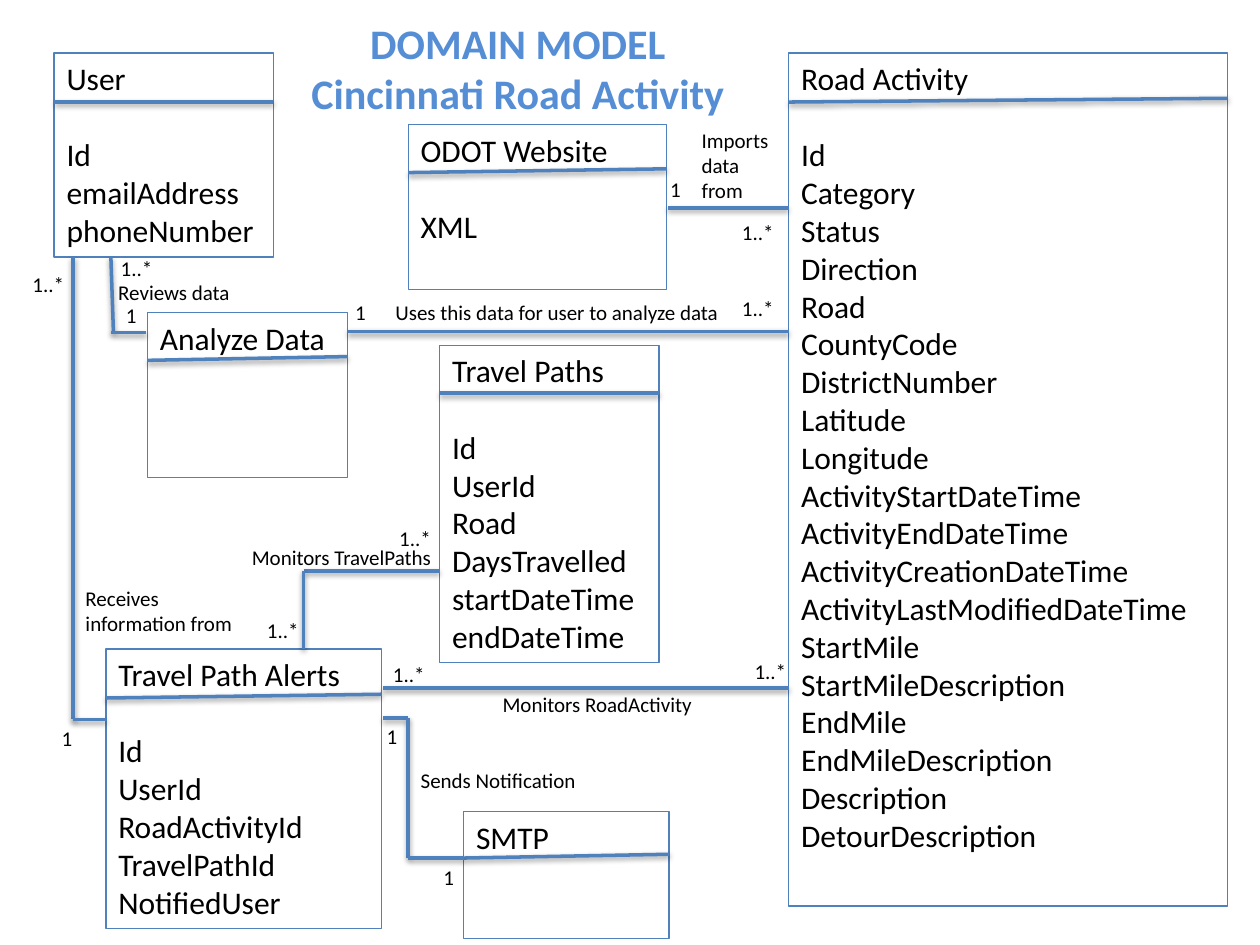
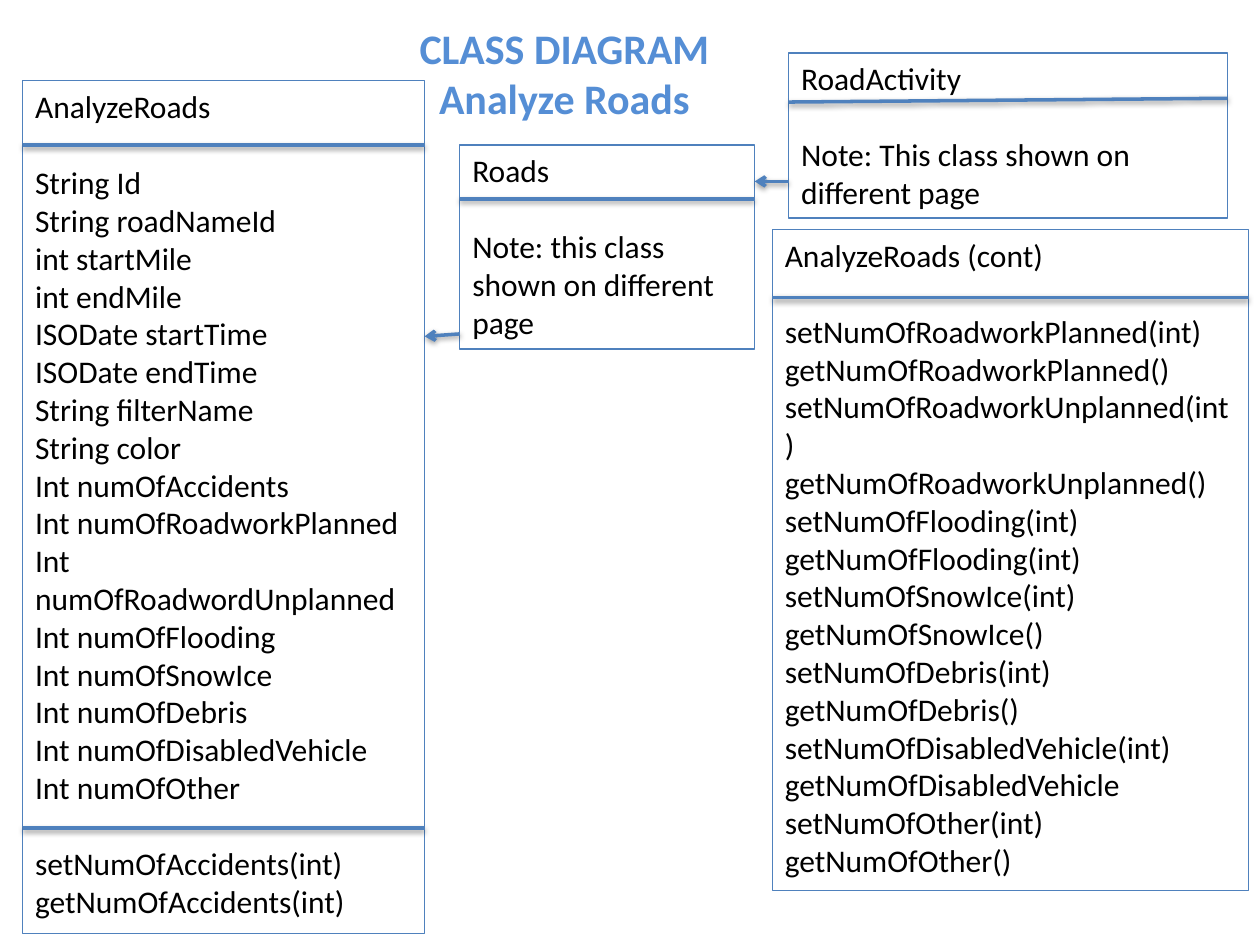
from dataclasses import dataclass
from itertools import pairwise

import pptx
import pptx.dml.color
import pptx.enum.shapes
import pptx.enum.text
import pptx.oxml
import pptx.oxml.ns
import pptx.util
from pptx.util import Inches

FONT = "Calibri"
LINE_BLUE = "4F81BD"
TITLE_BLUE = "558ED5"
BLACK = "000000"
SECTION_GAP = 22  # points: one line of class text

SHADOW_XML = (
    f'<a:effectLst {pptx.oxml.ns.nsdecls("a")}>'
    '<a:outerShdw blurRad="39370" dist="20320" dir="5400000" rotWithShape="0">'
    f'<a:srgbClr val="{BLACK}"><a:alpha val="38000"/></a:srgbClr>'
    "</a:outerShdw></a:effectLst>"
)
ARROW_XML = f'<a:tailEnd {pptx.oxml.ns.nsdecls("a")} type="arrow"/>'

Point = tuple[float, float]


@dataclass(frozen=True)
class Divider:
    """A rule across a class box; drop is below the box top, rise lifts the right end."""
    drop: float
    rise: float = 0.0


@dataclass(frozen=True)
class ClassBox:
    left: float
    top: float
    width: float
    height: float
    name: str
    sections: tuple[str, ...] = ()
    dividers: tuple[Divider, ...] = ()


@dataclass(frozen=True)
class Route:
    points: tuple[Point, ...]
    arrow: bool = False


@dataclass(frozen=True)
class Label:
    left: float
    top: float
    text: str
    width: float = 0.47
    height: float = 0.3


@dataclass(frozen=True)
class Diagram:
    title: str
    title_at: Point
    boxes: tuple[ClassBox, ...]
    routes: tuple[Route, ...]
    labels: tuple[Label, ...] = ()


DOMAIN_MODEL = Diagram(
    title="DOMAIN MODEL\nCincinnati Road Activity",
    title_at=(2.33, 0.09),
    boxes=(
        ClassBox(0.43, 0.42, 1.74, 1.62, "User",
                 ("Id\nemailAddress\nphoneNumber",), (Divider(0.39),)),
        ClassBox(3.24, 0.99, 2.05, 1.31, "ODOT Website", ("XML",), (Divider(0.38, 0.03),)),
        ClassBox(1.17, 2.48, 1.59, 1.31, "Analyze Data", (), (Divider(0.38, 0.03),)),
        ClassBox(6.26, 0.42, 3.48, 6.77, "Road Activity",
                 ("Id\nCategory\nStatus\nDirection\nRoad\nCountyCode\nDistrictNumber\n"
                  "Latitude\nLongitude\nActivityStartDateTime\nActivityEndDateTime\n"
                  "ActivityCreationDateTime\nActivityLastModifiedDateTime\nStartMile\n"
                  "StartMileDescription\nEndMile\nEndMileDescription\nDescription\n"
                  "DetourDescription",),
                 (Divider(0.39, 0.03),)),
        ClassBox(0.84, 5.15, 2.19, 2.22, "Travel Path Alerts",
                 ("Id\nUserId\nRoadActivityId\nTravelPathId\nNotifiedUser",),
                 (Divider(0.39, 0.03),)),
        ClassBox(3.68, 6.44, 1.63, 1.01, "SMTP", (), (Divider(0.37, 0.03),)),
        ClassBox(3.49, 2.74, 1.74, 2.52, "Travel Paths",
                 ("Id\nUserId\nRoad\nDaysTravelled\nstartDateTime\nendDateTime",),
                 (Divider(0.38),)),
    ),
    routes=(
        Route(((0.88, 2.04), (0.9, 2.63))),
        Route(((1.16, 2.64), (0.88, 2.64))),
        Route(((0.58, 2.04), (0.58, 5.71), (0.84, 5.71))),
        Route(((3.04, 5.7), (3.24, 5.7), (3.24, 6.81), (3.68, 6.81))),
        Route(((6.26, 1.65), (5.3, 1.65))),
        Route(((6.26, 2.63), (2.76, 2.63))),
        Route(((6.26, 5.46), (3.04, 5.46))),
        Route(((3.49, 4.53), (2.41, 4.53), (2.41, 5.15))),
    ),
    labels=(
        Label(0.86, 1.98, "1..*"),
        Label(0.9, 2.35, "1"),
        Label(0.84, 2.17, "Reviews data", 1.83),
        Label(5.22, 1.35, "1"),
        Label(5.79, 1.69, "1..*"),
        Label(5.47, 0.96, "Imports data from", 0.79, 0.71),
        Label(2.72, 2.33, "1"),
        Label(5.79, 2.3, "1..*"),
        Label(3.04, 2.33, "Uses this data for user to analyze data", 3.23),
        Label(0.16, 2.11, "1..*"),
        Label(0.39, 5.71, "1"),
        Label(0.58, 4.6, "Receives information from", 1.48, 0.5),
        Label(2.02, 4.85, "1..*"),
        Label(3.07, 4.12, "1..*"),
        Label(1.9, 4.27, "Monitors TravelPaths", 1.71),
        Label(3.02, 5.2, "1..*"),
        Label(5.89, 5.18, "1..*"),
        Label(3.89, 5.44, "Monitors RoadActivity", 1.71),
        Label(2.97, 5.69, "1"),
        Label(3.42, 6.81, "1"),
        Label(3.24, 6.04, "Sends Notification", 1.48),
    ),
)

CLASS_DIAGRAM = Diagram(
    title="CLASS DIAGRAM\nAnalyze Roads",
    title_at=(2.7, 0.13),
    boxes=(
        ClassBox(6.26, 0.42, 3.48, 1.31, "RoadActivity",
                 ("Note: This class shown on different page",), (Divider(0.39, 0.03),)),
        ClassBox(0.18, 0.64, 3.19, 6.77, "AnalyzeRoads",
                 ("String Id\nString roadNameId\nint startMile\nint endMile\n"
                  "ISODate startTime\nISODate endTime\nString filterName\nString color\n"
                  "Int numOfAccidents\nInt numOfRoadworkPlanned\n"
                  "Int numOfRoadwordUnplanned\nInt numOfFlooding\nInt numOfSnowIce\n"
                  "Int numOfDebris\nInt numOfDisabledVehicle\nInt numOfOther",
                  "setNumOfAccidents(int)\ngetNumOfAccidents(int)"),
                 (Divider(0.51), Divider(5.93))),
        ClassBox(3.65, 1.15, 2.34, 1.62, "Roads",
                 ("Note: this class shown on different page",), (Divider(0.43),)),
        ClassBox(6.13, 1.82, 3.78, 5.25, "AnalyzeRoads (cont)",
                 ("setNumOfRoadworkPlanned(int)\ngetNumOfRoadworkPlanned()\n"
                  "setNumOfRoadworkUnplanned(int)\ngetNumOfRoadworkUnplanned()\n"
                  "setNumOfFlooding(int)\ngetNumOfFlooding(int)\nsetNumOfSnowIce(int)\n"
                  "getNumOfSnowIce()\nsetNumOfDebris(int)\ngetNumOfDebris()\n"
                  "setNumOfDisabledVehicle(int)\ngetNumOfDisabledVehicle\n"
                  "setNumOfOther(int)\ngetNumOfOther()",),
                 (Divider(0.54),)),
    ),
    routes=(
        Route(((6.26, 1.44), (5.99, 1.44)), arrow=True),
        Route(((3.65, 2.65), (3.37, 2.67)), arrow=True),
    ),
)


def rgb(color: str) -> pptx.dml.color.RGBColor:
    return pptx.dml.color.RGBColor.from_string(color)


def write_text(shape, text: str, size: int, color: str = BLACK, bold: bool = False,
               align=pptx.enum.text.PP_ALIGN.LEFT) -> None:
    frame = shape.text_frame
    frame.word_wrap = True
    frame.vertical_anchor = pptx.enum.text.MSO_ANCHOR.TOP
    frame.text = text
    for para in frame.paragraphs:
        para.alignment = align
        for span in para.runs:
            span.font.name = FONT
            span.font.size = pptx.util.Pt(size)
            span.font.bold = bold
            span.font.color.rgb = rgb(color)


def draw_line(slide, start: Point, end: Point, arrow: bool = False) -> None:
    line = slide.shapes.add_connector(
        pptx.enum.shapes.MSO_CONNECTOR.STRAIGHT, *map(Inches, start + end))
    line.line.color.rgb = rgb(LINE_BLUE)
    line.line.width = pptx.util.Pt(2)
    if arrow:
        line.line._get_or_add_ln().append(pptx.oxml.parse_xml(ARROW_XML))
    line._element.spPr.append(pptx.oxml.parse_xml(SHADOW_XML))


def draw_class_box(slide, box: ClassBox) -> None:
    shape = slide.shapes.add_shape(
        pptx.enum.shapes.MSO_SHAPE.RECTANGLE,
        *map(Inches, (box.left, box.top, box.width, box.height)))
    shape.shadow.inherit = False
    shape.fill.background()
    shape.line.color.rgb = rgb(LINE_BLUE)
    shape.line.width = pptx.util.Pt(0.75)
    write_text(shape, "\n".join((box.name, *box.sections)), 18)

    first_line = 1
    for section in box.sections:
        para = shape.text_frame.paragraphs[first_line]
        para.space_before = pptx.util.Pt(SECTION_GAP)
        first_line += len(section.splitlines())

    for divider in box.dividers:
        y = box.top + divider.drop
        draw_line(slide, (box.left, y), (box.left + box.width, y - divider.rise))


def draw_label(slide, label: Label) -> None:
    box = slide.shapes.add_textbox(
        *map(Inches, (label.left, label.top, label.width, label.height)))
    write_text(box, label.text, 12)


def draw_title(slide, title: str, at: Point) -> None:
    box = slide.shapes.add_textbox(*map(Inches, (*at, 3.56, 0.91)))
    write_text(box, title, 24, TITLE_BLUE, True, pptx.enum.text.PP_ALIGN.CENTER)


def draw_diagram(deck, diagram: Diagram) -> None:
    slide = deck.slides.add_slide(deck.slide_layouts[6])
    draw_title(slide, diagram.title, diagram.title_at)
    for box in diagram.boxes:
        draw_class_box(slide, box)
    for route in diagram.routes:
        for start, end in pairwise(route.points):
            draw_line(slide, start, end, route.arrow)
    for label in diagram.labels:
        draw_label(slide, label)


def main() -> None:
    deck = pptx.Presentation()
    deck.slide_width = Inches(10)
    deck.slide_height = Inches(7.5)
    for diagram in (DOMAIN_MODEL, CLASS_DIAGRAM):
        draw_diagram(deck, diagram)
    deck.save("out.pptx")


if __name__ == "__main__":
    main()
